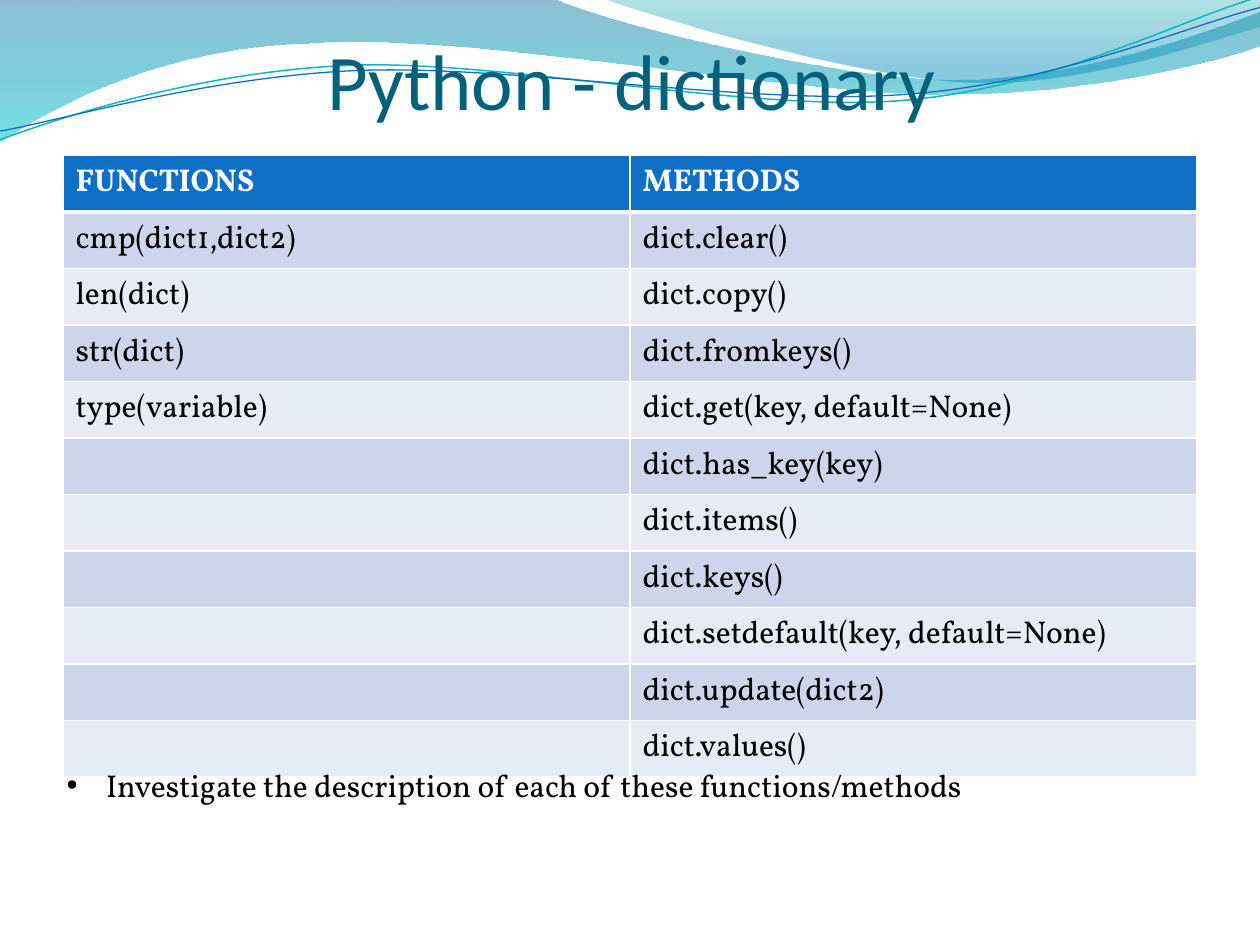
import pptx
import pptx.util
import pptx.dml.color
import pptx.enum.text
import pptx.oxml
import pptx.oxml.ns
from itertools import zip_longest

Pt = pptx.util.Pt
TXT = pptx.enum.text
qn = pptx.oxml.ns.qn

TITLE = "Python - dictionary"
NOTE = "Investigate the description of each of these functions/methods"
HEADS = ("FUNCTIONS", "METHODS")
FUNCS = ["cmp(dict1,dict2)", "len(dict)", "str(dict)", "type(variable)"]
METHS = ["dict.clear()", "dict.copy()", "dict.fromkeys()",
         "dict.get(key, default=None)", "dict.has_key(key)", "dict.items()",
         "dict.keys()", "dict.setdefault(key, default=None)",
         "dict.update(dict2)", "dict.values()"]

WAVES = [
    {"path": [(0, 0), (316.8, -0.7),
              (342.7, 12.2, 478.1, 45.4, 545.8, 45.4),
              (614.2, 45.4, 689.8, 18.7, 720, 6.5), (720.7, 25.9),
              (707.8, 31.7, 626.4, 54.7, 537.1, 54),
              (447.8, 54, 275, 20.2, 185, 24.5),
              (92.9, 25.9, 33.1, 59.8, -0.7, 81.4), (0, 0)],
     "stops": [(0, "0074A1", 45), (1, "00C6CF", 55)]},
    {"path": [(344.9, -0.7), (366.5, 7.9, 491, 44.6, 553.7, 46.8),
              (616.3, 49.7, 691.9, 23, 720, 15.1), (720, 0), (344.9, -0.7)],
     "stops": [(0, "00A1A9", 30), (0.8, "008BBF", 45)]},
    {"path": [(0, 79.9), (34.6, 67, 113.8, 41, 199.4, 37.4),
              (284.4, 33.8, 427, 64.1, 513.4, 57.6),
              (599.8, 51.1, 675.4, 10.8, 718.6, -1.4)],
     "line": ("0AB8BF", 0.85)},
    {"path": [(0, 74.9), (33.8, 69.1, 118.1, 43.9, 203.8, 40.3),
              (290.2, 36.7, 429.8, 60.5, 516.2, 54),
              (601.9, 48.2, 677.5, 15.1, 720, 4.3)],
     "line": ("0F6FC6", 0.75)},
]

BIG = {"size": Pt(45), "name": "Calibri"}
BODY = {"size": Pt(18), "name": "Vollkorn", "bold": False}
HEAD = {**BODY, "bold": True}


def tint(code):
    return pptx.dml.color.RGBColor.from_string(code)


def node(xml):
    return pptx.oxml.parse_xml(
        xml.replace(" ", f' {pptx.oxml.ns.nsdecls("a")} ', 1))


def apply(item, form):
    for key, val in form.items():
        setattr(item, key, val)


def write(para, text, form, code):
    run = para.add_run()
    run.text = text
    apply(run.font, form)
    run.font.color.rgb = tint(code)


def bend(shape, parts):
    lines = list(shape.element.iter(qn("a:lnTo")))
    for line, part in zip(lines, parts):
        if len(part) == 6:
            line.tag = qn("a:cubicBezTo")
            for x, y in (part[2:4], part[:2]):
                line.insert(0, node(f'<a:pt x="{Pt(x) - shape.left}" '
                                    f'y="{Pt(y) - shape.top}"/>'))


def wave(shapes, data):
    start, *parts = data["path"]
    pen = shapes.build_freeform(*map(Pt, start))
    pen.add_line_segments([tuple(map(Pt, part[-2:])) for part in parts],
                          close="stops" in data)
    shape = pen.convert_to_shape()
    bend(shape, parts)
    shape.shadow.inherit = False
    if "line" in data:
        code, width = data["line"]
        shape.fill.background()
        shape.line.color.rgb = tint(code)
        shape.line.width = Pt(width)
        return
    shape.line.fill.background()
    shape.fill.gradient()
    shape.fill.gradient_angle = 270
    for stop, (place, code, _) in zip(shape.fill.gradient_stops, data["stops"]):
        stop.position = place
        stop.color.rgb = tint(code)
    marks = shape.element.iter(qn("a:srgbClr"))
    for mark, (_, _, alpha) in zip(marks, data["stops"]):
        mark.append(node(f'<a:alpha val="{alpha * 1000}"/>'))


def label(shapes, area, form):
    frame = shapes.add_textbox(*map(Pt, area)).text_frame
    apply(frame, {"word_wrap": True, **form})
    return frame.paragraphs[0]


def edge(cell, row):
    props = cell._tc.get_or_add_tcPr()
    wide = {"T": 3 if row == 1 else 1, "B": 3 if row == 0 else 1}
    for side in "LRTB":
        props.append(node(
            f'<a:ln{side} w="{Pt(wide.get(side, 1))}"><a:solidFill>'
            f'<a:srgbClr val="FFFFFF"/></a:solidFill></a:ln{side}>'))


def grid(shapes):
    rows = [HEADS, *zip_longest(FUNCS, METHS, fillvalue="")]
    high = 32.3
    table = shapes.add_table(len(rows), 2, Pt(36), Pt(88.8), Pt(648),
                             Pt(high * len(rows))).table
    for r, texts in enumerate(rows):
        table.rows[r].height = Pt(high)
        back = ("E7EBF5", "CCD5EA")[r % 2] if r else "0F6FC6"
        for c, text in enumerate(texts):
            cell = table.cell(r, c)
            edge(cell, r)
            cell.fill.solid()
            cell.fill.fore_color.rgb = tint(back)
            if text:
                write(cell.text_frame.paragraphs[0], text,
                      BODY if r else HEAD, "000000" if r else "FFFFFF")


def main():
    deck = pptx.Presentation()
    apply(deck, {"slide_width": Pt(720), "slide_height": Pt(540)})
    shapes = deck.slides.add_slide(deck.slide_layouts[6]).shapes
    for data in WAVES:
        wave(shapes, data)
    para = label(shapes, (36.7, 20.9, 648, 51.1), {
        "vertical_anchor": TXT.MSO_ANCHOR.BOTTOM, "margin_left": 0,
        "margin_right": 0, "margin_top": Pt(3.6), "margin_bottom": 0})
    para.alignment = TXT.PP_ALIGN.CENTER
    write(para, TITLE, BIG, "04617B")
    grid(shapes)
    para = label(shapes, (31, 434.2, 657.4, 29),
                 {"auto_size": TXT.MSO_AUTO_SIZE.SHAPE_TO_FIT_TEXT})
    props = para._p.get_or_add_pPr()
    props.set("marL", str(Pt(22.5)))
    props.set("indent", str(-Pt(22.5)))
    props.append(node('<a:buFont typeface="Arial"/>'))
    props.append(node('<a:buChar char="•"/>'))
    write(para, NOTE, BODY, "000000")
    deck.save("out.pptx")


if __name__ == "__main__":
    main()
